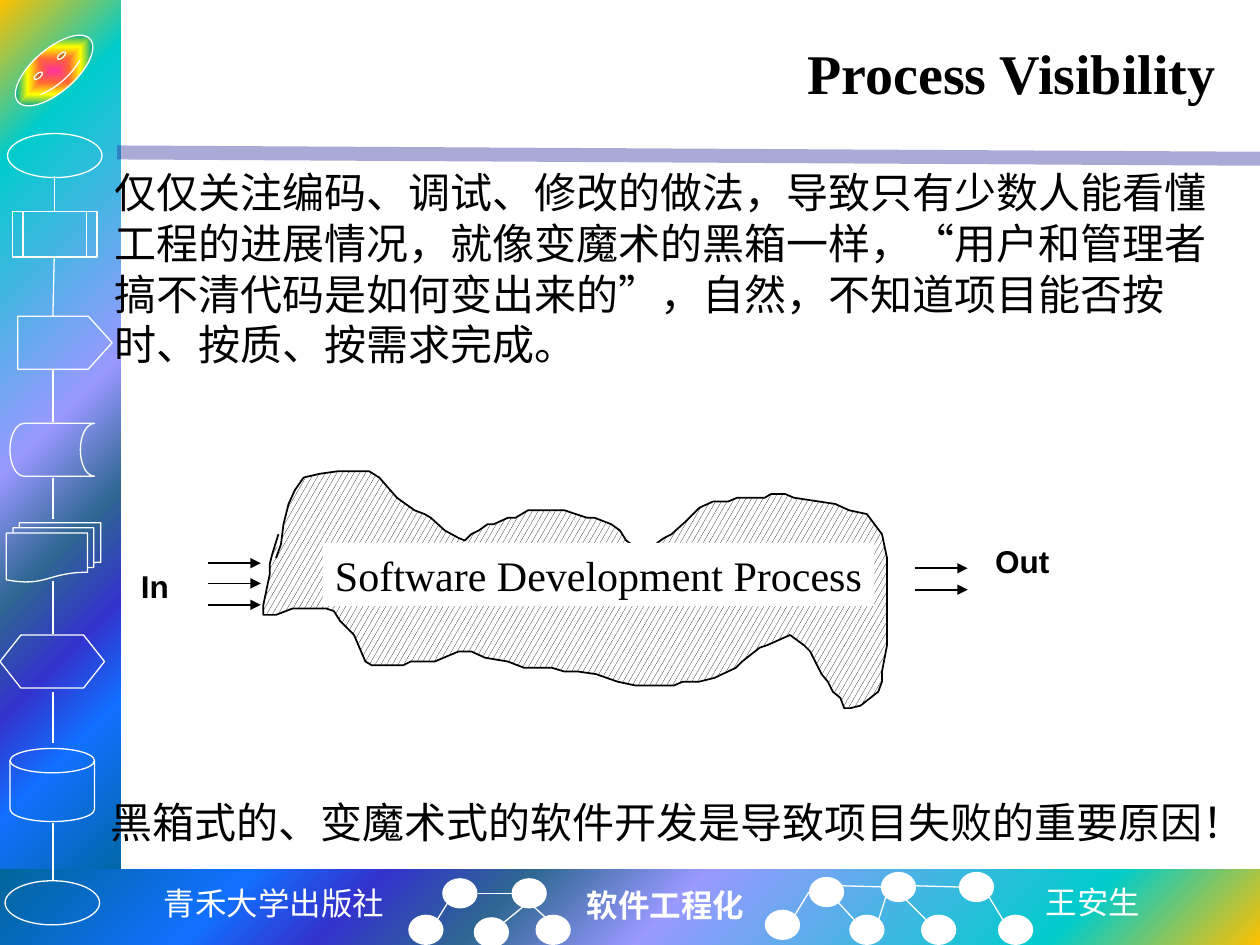
from dataclasses import dataclass

from lxml import etree
from pptx import Presentation
from pptx.dml.color import RGBColor
from pptx.enum.dml import MSO_PATTERN
from pptx.enum.shapes import MSO_CONNECTOR, MSO_SHAPE
from pptx.enum.text import MSO_ANCHOR, MSO_AUTO_SIZE, PP_ALIGN
from pptx.oxml import parse_xml
from pptx.oxml.ns import nsdecls, qn
from pptx.util import Pt

PX = 9144
RECT, OVAL = MSO_SHAPE.RECTANGLE, MSO_SHAPE.OVAL
FACE, PLATE = MSO_SHAPE.SMILEY_FACE, MSO_SHAPE.PENTAGON
CALL, STORE = MSO_SHAPE.FLOWCHART_PREDEFINED_PROCESS, MSO_SHAPE.FLOWCHART_STORED_DATA
PAPERS, HEX = MSO_SHAPE.FLOWCHART_MULTIDOCUMENT, MSO_SHAPE.FLOWCHART_PREPARATION
DISK = MSO_SHAPE.FLOWCHART_MAGNETIC_DISK
HATCH = MSO_PATTERN.LARGE_CONFETTI
STRAIGHT = MSO_CONNECTOR.STRAIGHT
LEFT, MID, RIGHT = PP_ALIGN.LEFT, PP_ALIGN.CENTER, PP_ALIGN.RIGHT
CENTER, GROW = MSO_ANCHOR.MIDDLE, MSO_AUTO_SIZE.SHAPE_TO_FIT_TEXT


@dataclass(frozen=True)
class Theme:
    """Colours, fonts and type sizes."""
    ink: str = "000000"
    pale: str = "FFFFFF"
    rule: str = "262699"
    serif: str = "Times New Roman"
    sans: str = "Arial"
    mono: str = "DejaVu Sans Mono"
    han: str = "Noto Sans CJK SC"
    head: int = 32
    body: int = 24
    note: int = 18
    lead: int = 29
    hair: float = 0.75
    sea: tuple = ((0, "FFC000"), (16, "00CCCC"), (47, "9999FF"), (60, "2E6792"),
                  (71, "3333CC"), (81, "1170FF"), (100, "006699"))
    glow: tuple = ((0, "FF3399"), (25, "FF6633"), (50, "FFFF00"),
                   (75, "01A78F"), (100, "3366FF"))


T = Theme()

CLOUD = (
    (219, 443), (223, 432), (225, 416), (229, 400), (234, 389), (241, 379), (254, 376),
    (268, 374), (293, 374), (301, 379), (315, 395), (329, 405), (337, 408), (342, 411),
    (353, 421), (364, 427), (369, 429), (374, 424), (380, 421), (387, 416), (392, 416),
    (403, 411), (409, 411), (419, 405), (448, 405), (466, 411), (472, 411), (485, 416),
    (492, 421), (497, 429), (508, 437), (513, 437), (527, 427), (533, 424), (544, 414),
    (555, 403), (566, 398), (578, 398), (585, 395), (607, 395), (612, 392), (623, 392),
    (630, 395), (663, 400), (674, 405), (688, 408), (700, 424), (704, 443), (704, 512),
    (700, 533), (700, 541), (697, 549), (683, 560), (675, 562), (670, 562), (667, 554),
    (661, 549), (657, 541), (652, 535), (643, 517), (638, 512), (627, 504), (609, 512),
    (603, 514), (589, 525), (584, 530), (567, 538), (555, 541), (542, 541), (535, 544),
    (504, 544), (490, 541), (473, 535), (459, 533), (448, 533), (438, 530), (416, 530),
    (403, 525), (385, 522), (374, 517), (364, 517), (345, 525), (326, 525), (320, 528),
    (295, 528), (290, 525), (281, 504), (270, 493), (265, 485), (259, 483), (232, 483),
    (219, 488), (209, 488), (209, 480), (214, 456), (214, 448), (216, 440), (221, 424))


def tone(code):
    """Turn a hex code into a colour."""
    return RGBColor.from_string(code)


def form(slide, kind, x, y, w, h, fill=None, line=None):
    """Add a preset shape without shadow."""
    part = slide.shapes.add_shape(kind, *(v * PX for v in (x, y, w, h)))
    part.shadow.inherit = False
    if fill:
        part.fill.solid()
        part.fill.fore_color.rgb = tone(fill)
    else:
        part.fill.background()
    if line:
        part.line.color.rgb = tone(line)
        part.line.width = Pt(T.hair)
    else:
        part.line.fill.background()
    return part


def blend(part, stops, way, focus):
    """Give an unfilled shape a path gradient."""
    marks = "".join(f'<a:gs pos="{p * 1000}"><a:srgbClr val="{c}"/></a:gs>' for p, c in stops)
    edges = " ".join(f'{k}="{v * 1000}"' for k, v in zip("ltrb", focus))
    fill = parse_xml(
        f'<a:gradFill {nsdecls("a")} rotWithShape="1"><a:gsLst>{marks}</a:gsLst>'
        f'<a:path path="{way}"><a:fillToRect {edges}/></a:path></a:gradFill>')
    props = part._element.spPr
    props.replace(props.find(qn("a:noFill")), fill)


def link(slide, x1, y1, x2, y2, color=T.pale, width=T.hair, arrow=False, alpha=None):
    """Add a straight line, with an arrowhead or alpha if asked."""
    wire = slide.shapes.add_connector(STRAIGHT, *(v * PX for v in (x1, y1, x2, y2)))
    wire.line.color.rgb = tone(color)
    wire.line.width = Pt(width)
    props = wire._element.spPr
    line = props.find(qn("a:ln"))
    if alpha:
        code = line.find(".//" + qn("a:srgbClr"))
        etree.SubElement(code, qn("a:alpha"), val=str(alpha * 1000))
    if arrow:
        etree.SubElement(line, qn("a:tailEnd"), type="triangle")
    etree.SubElement(props, qn("a:effectLst"))


def style(para, face, size, color=T.ink, bold=False, align=LEFT):
    """Set the font and alignment of a paragraph."""
    para.alignment = align
    font = para.font
    font.name, font.size, font.bold = face, Pt(size), bold
    font.color.rgb = tone(color)


def label(slide, text, x, y, w, h, face, size, wrap=False, lead=None, **looks):
    """Add a text box with one paragraph."""
    frame = slide.shapes.add_textbox(*(v * PX for v in (x, y, w, h))).text_frame
    frame.word_wrap, frame.auto_size = wrap, GROW
    para = frame.paragraphs[0]
    para.text = text
    if lead:
        para.line_spacing = Pt(lead)
    style(para, face, size, **looks)
    para._p.get_or_add_pPr().set("hangingPunct", "0")


def band(slide, x, y, w, h, focus):
    """Draw a gradient band that starts from one corner."""
    blend(form(slide, RECT, x, y, w, h), T.sea, "circle", focus)


def chain(slide, x, y):
    """Draw the chain of flowchart symbols down the left side."""
    face = form(slide, FACE, x + 5, y + 39, 76, 34, line=T.pale)
    face.adjustments[0] = 0.047
    face.rotation = -41
    blend(face, T.glow, "shape", (50, 50, 50, 50))
    for kind, dx, dy, wide, high in (
            (OVAL, 6, 106, 75, 35), (CALL, 10, 168, 67, 36), (PLATE, 14, 251, 75, 42),
            (STORE, 8, 336, 67, 42), (PAPERS, 5, 415, 75, 47), (HEX, 0, 504, 83, 42),
            (DISK, 8, 594, 67, 58), (OVAL, 4, 699, 75, 35)):
        part = form(slide, kind, x + dx, y + dy, wide, high, line=T.pale)
        if kind == PLATE:
            part.adjustments[0] = 0.45
    for x1, y1, x2, y2 in (
            (43, 140, 43, 168), (43, 205, 42, 251), (42, 293, 42, 335), (42, 379, 42, 412),
            (42, 461, 42, 503), (42, 549, 42, 590), (42, 653, 42, 699)):
        link(slide, x + x1, y + y1, x + x2, y + y2)


def net(slide, x, y, nodes, edges):
    """Draw a graph of white discs joined by lines."""
    for dx, dy in nodes:
        form(slide, OVAL, x + dx, y + dy, 28, 24, fill=T.pale)
    for x1, y1, x2, y2 in edges:
        link(slide, x + x1, y + y1, x + x2, y + y2)


def foot(slide, x, y):
    """Place the names and graphs along the bottom."""
    label(slide, "青禾大学出版社", x + 119, y + 7, 197, 40, T.mono, T.note, color=T.pale, align=MID)
    label(slide, "软件工程化", x + 456, y + 8, 146, 40, T.serif, T.note, color=T.pale, bold=True)
    label(slide, "王安生", x + 820, y + 6, 96, 40, T.han, T.note, color=T.pale)
    net(slide, x + 324, y,
        ((27, 7), (0, 36), (52, 38), (82, 7), (101, 36)),
        ((23, 40, 31, 27), (76, 42, 92, 29), (82, 19, 55, 19), (110, 39, 100, 30)))
    net(slide, x + 607, y,
        ((0, 32), (35, 6), (67, 36), (92, 2), (124, 36), (154, 2), (185, 36)),
        ((24, 36, 35, 18), (71, 40, 58, 26), (61, 13, 96, 14), (90, 41, 96, 22),
         (128, 40, 108, 20), (119, 13, 154, 14), (189, 40, 178, 22)))


def head(slide, x, y, w, h):
    """Place the title and the rule beneath it."""
    title = slide.shapes.title
    title.left, title.top, title.width, title.height = (v * PX for v in (x, y, w, h))
    frame = title.text_frame
    frame.text, frame.vertical_anchor = "Process Visibility", CENTER
    style(frame.paragraphs[0], T.serif, T.head, bold=True, align=RIGHT)
    link(slide, x - 32, y + 104, x + w + 25, y + 109, T.rule, 8, alpha=39)


def cloud(slide, x, y, w):
    """Draw the process cloud with its inputs and outputs."""
    left, top = min(p[0] for p in CLOUD), min(p[1] for p in CLOUD)
    spots = [(x + px - left, y + py - top) for px, py in CLOUD]
    path = slide.shapes.build_freeform(*spots[0], scale=PX)
    path.add_line_segments(spots[1:], close=False)
    blob = path.convert_to_shape()
    blob.shadow.inherit = False
    blob.fill.patterned()
    blob.fill.pattern = HATCH
    blob.fill.fore_color.rgb, blob.fill.back_color.rgb = tone(T.ink), tone(T.pale)
    blob.line.color.rgb, blob.line.width = tone(T.ink), Pt(1)
    for dx, rows in ((-44, (73, 89, 106)), (w + 21, (77, 94))):
        for dy in rows:
            link(slide, x + dx, y + dy, x + dx + 42, y + dy, T.ink, 1, arrow=True)
    label(slide, "In", x - 107, y + 71, 67, 40, T.sans, T.note, wrap=True, bold=True)
    label(slide, "Out", x + w + 75, y + 51, 151, 40, T.sans, T.note, wrap=True, bold=True)
    plate = form(slide, RECT, x + 47, y + 57, 438, 50, fill=T.pale)
    frame = plate.text_frame
    frame.word_wrap, frame.vertical_anchor, frame.margin_right = True, CENTER, 0
    para = frame.paragraphs[0]
    para.text = "Software Development Process"
    style(para, T.serif, T.body)


def main():
    """Build the slide and save it."""
    deck = Presentation()
    deck.slide_width, deck.slide_height = 1000 * PX, 750 * PX
    slide = deck.slides.add_slide(deck.slide_layouts[5])
    band(slide, 0, 0, 96, 709, (0, 0, 100, 100))
    band(slide, 0, 690, 1000, 60, (100, 100, 0, 0))
    chain(slide, 0, 0)
    foot(slide, 0, 690)
    head(slide, 125, 17, 850, 81)
    cloud(slide, 209, 374, 496)
    label(slide, "仅仅关注编码、调试、修改的做法，导致只有少数人能看懂工程的进展情况，就像变魔术的黑箱一样，"
          "“用户和管理者搞不清代码是如何变出来的”，自然，不知道项目能否按时、按质、按需求完成。",
          81, 127, 919, 172, T.serif, T.body, wrap=True, lead=T.lead)
    label(slide, "黑箱式的、变魔术式的软件开发是导致项目失败的重要原因！",
          78, 627, 929, 51, T.serif, T.body, lead=T.lead)
    deck.save("out.pptx")


if __name__ == "__main__":
    main()
